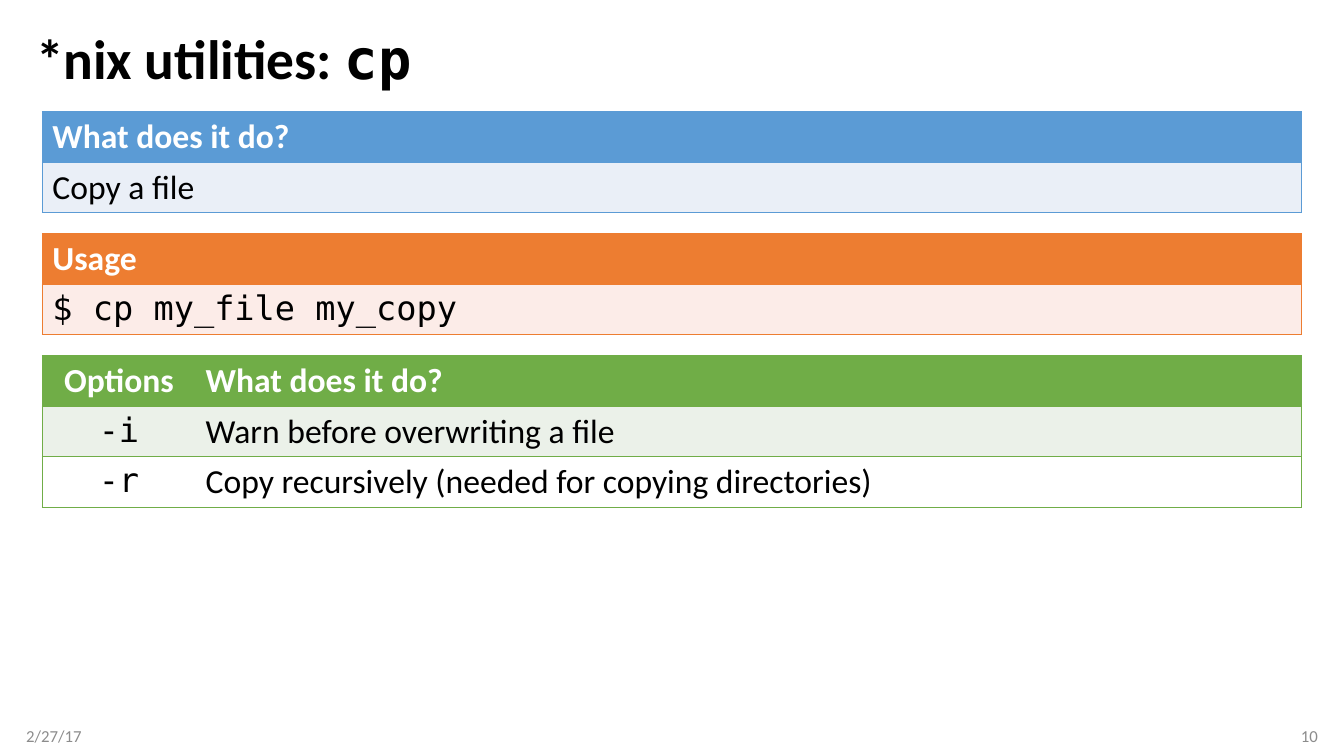
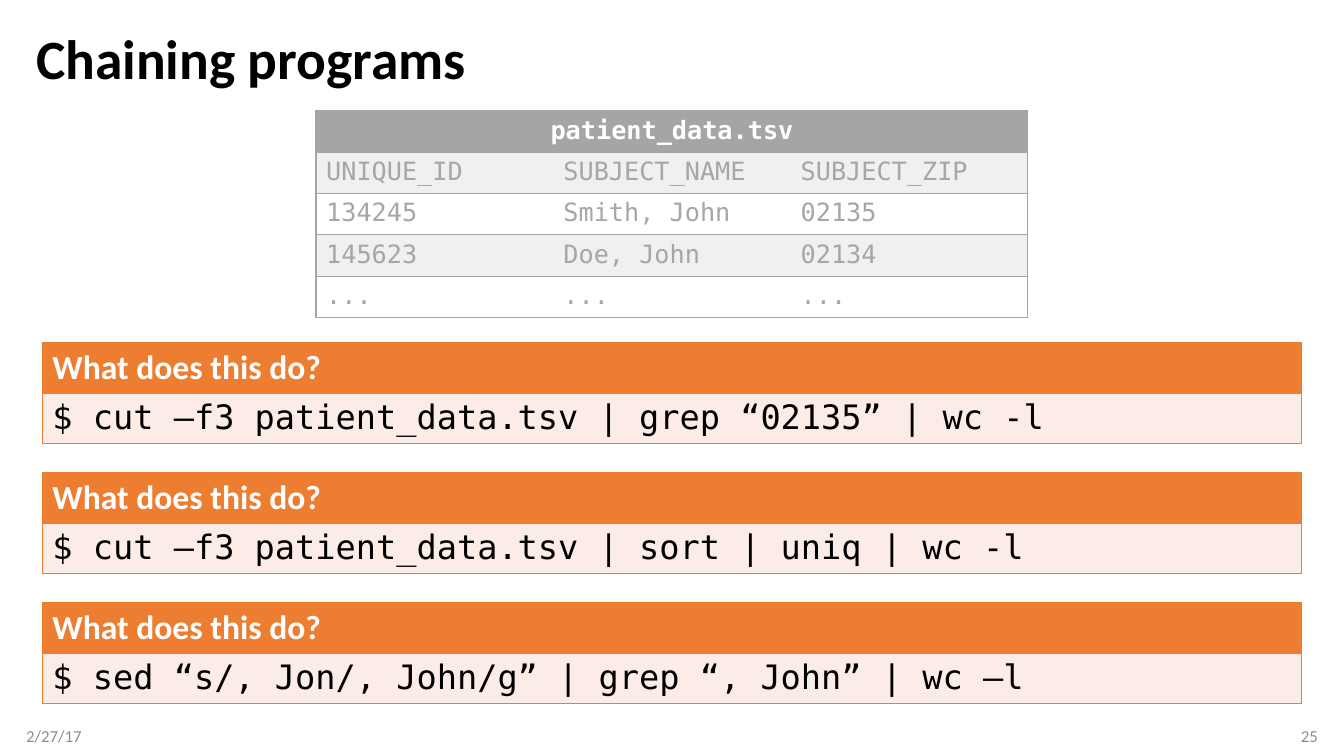
from dataclasses import dataclass

from lxml import etree
from pptx import Presentation
from pptx import util as u
from pptx.dml.color import RGBColor
from pptx.enum import text
from pptx.oxml.ns import qn


@dataclass(frozen=True)
class Theme:
    body_font: str = "Calibri"
    code_font: str = "DejaVu Sans Mono"
    title_size: float = 39.6
    panel_size: float = 24
    data_size: float = 18
    footer_size: float = 12
    ink: str = "000000"
    paper: str = "FFFFFF"
    footer_ink: str = "8C8C8C"
    data_ink: str = "A6A6A6"
    blue: tuple = ("5B9BD5", "EAEFF7")
    orange: tuple = ("ED7D31", "FCECE8")
    green: tuple = ("70AD47", "EBF1E9")
    grey: tuple = ("A5A5A5", "F0F0F0")


@dataclass(frozen=True)
class Box:
    left: float
    top: float
    width: float
    height: float

    def emu(self):
        return [u.Inches(v) for v in (self.left, self.top, self.width, self.height)]


THEME = Theme()
SLIDE = Box(0, 0, 13.33, 7.5)
MARGIN = 0.26
ROW = 0.41
PANEL_LEFT, PANEL_WIDTH = 0.42, 12.49
TITLE = Box(MARGIN, 0.25, SLIDE.width - 2 * MARGIN, 0.72)
FOOTER = Box(MARGIN, 7.1, SLIDE.width - 2 * MARGIN, 0.4)
DATE = "2/27/17"
LEFT, CENTER, RIGHT = text.PP_ALIGN.LEFT, text.PP_ALIGN.CENTER, text.PP_ALIGN.RIGHT


def style(run, font, size, color, bold=False):
    run.font.name = font
    run.font.size = u.Pt(size)
    run.font.bold = bold
    run.font.color.rgb = RGBColor.from_string(color)


def text_frame(slide, box):
    frame = slide.shapes.add_textbox(*box.emu()).text_frame
    frame.word_wrap = True
    frame.vertical_anchor = text.MSO_ANCHOR.MIDDLE
    return frame


def add_title(slide, box, words, command=""):
    heading = text_frame(slide, box).paragraphs[0]
    heading.text = words
    heading.line_spacing = 0.9
    style(heading.runs[0], THEME.body_font, THEME.title_size, THEME.ink, True)
    if command:
        name = heading.add_run()
        name.text = command
        style(name, THEME.code_font, THEME.title_size, THEME.ink, True)


def add_footer(slide, box, number):
    width = 3
    for words, left, align in ((DATE, box.left, LEFT),
                               (number, box.left + box.width - width, RIGHT)):
        frame = text_frame(slide, Box(left, box.top, width, box.height))
        frame.margin_left = 0 if align == LEFT else u.Inches(0.1)
        frame.margin_right = 0 if align == RIGHT else u.Inches(0.1)
        note = frame.paragraphs[0]
        note.text = words
        note.alignment = align
        style(note.runs[0], THEME.body_font, THEME.footer_size, THEME.footer_ink)


def set_borders(cell, color, sides):
    properties = cell._tc.get_or_add_tcPr()
    for index, side in enumerate("LRTB"):
        line = etree.Element(qn(f"a:ln{side}"), w=str(u.Pt(1)))
        if side in sides:
            fill = etree.SubElement(line, qn("a:solidFill"))
            etree.SubElement(fill, qn("a:srgbClr"), val=color)
        else:
            etree.SubElement(line, qn("a:noFill"))
        properties.insert(index, line)


def add_grid(slide, box, rows, widths, colors, fonts, *, aligns=(LEFT,),
             head_font=THEME.body_font, size=THEME.panel_size, ink=THEME.ink):
    strong, pale = colors
    table = slide.shapes.add_table(len(rows), len(widths), *box.emu()).table
    table.horz_banding = False
    for column, width in zip(table.columns, widths):
        column.width = u.Inches(width)
    spanned = len(rows[0]) < len(widths)
    if spanned:
        table.cell(0, 0).merge(table.cell(0, len(widths) - 1))
    for r, values in enumerate(rows):
        table.rows[r].height = u.Inches(box.height / len(rows))
        for c in range(len(widths)):
            cell = table.cell(r, c)
            cell.fill.solid()
            fill = strong if r == 0 else pale if r % 2 else THEME.paper
            cell.fill.fore_color.rgb = RGBColor.from_string(fill)
            last = c == len(values) - 1 or c == len(widths) - 1
            set_borders(cell, strong, "TB" + "L" * (c == 0) + "R" * last)
            if c >= len(values):
                continue
            entry = cell.text_frame.paragraphs[0]
            entry.text = values[c]
            entry.alignment = CENTER if r == 0 and spanned else aligns[c]
            style(entry.runs[0], head_font if r == 0 else fonts[c], size,
                  THEME.paper if r == 0 else ink, r == 0)


def add_panel(slide, top, heading, content, colors, font):
    box = Box(PANEL_LEFT, top, PANEL_WIDTH, 2 * ROW)
    add_grid(slide, box, [[heading], [content]], [box.width], colors, [font])


def add_options(slide, box, options):
    first = 1.52
    add_grid(slide, box, [("Options", "What does it do?"), *options],
             [first, box.width - first], THEME.green,
             [THEME.code_font, THEME.body_font], aligns=(CENTER, LEFT))


def add_data_file(slide, box, name, records):
    count = len(records[0])
    add_grid(slide, box, [(name,), *records], [box.width / count] * count,
             THEME.grey, [THEME.code_font] * count, aligns=[LEFT] * count,
             head_font=THEME.code_font, size=THEME.data_size, ink=THEME.data_ink)


def start_slide(deck, number, words, command=""):
    slide = deck.slides.add_slide(deck.slide_layouts[6])
    add_title(slide, TITLE, words, command)
    add_footer(slide, FOOTER, number)
    return slide


def utility_slide(deck, number, command, purpose, usage, options):
    slide = start_slide(deck, number, "*nix utilities: ", command)
    top, pitch = 1.11, 1.21
    add_panel(slide, top, "What does it do?", purpose, THEME.blue, THEME.body_font)
    add_panel(slide, top + pitch, "Usage", usage, THEME.orange, THEME.code_font)
    box = Box(PANEL_LEFT, top + 2 * pitch, PANEL_WIDTH, (len(options) + 1) * ROW)
    add_options(slide, box, options)


def chaining_slide(deck, number, file_name, records, pipelines):
    slide = start_slide(deck, number, "Chaining programs")
    width = 7.06
    box = Box((SLIDE.width - width) / 2, 1.1, width, (len(records) + 1) * ROW)
    add_data_file(slide, box, file_name, records)
    top, pitch = 3.4, 1.29
    for index, pipeline in enumerate(pipelines):
        add_panel(slide, top + index * pitch, "What does this do?", pipeline,
                  THEME.orange, THEME.code_font)


def main():
    deck = Presentation()
    deck.slide_width, deck.slide_height = u.Inches(SLIDE.width), u.Inches(SLIDE.height)
    utility_slide(deck, "10", "cp", "Copy a file", "$ cp my_file my_copy", [
        ("-i", "Warn before overwriting a file"),
        ("-r", "Copy recursively (needed for copying directories)"),
    ])
    chaining_slide(deck, "25", "patient_data.tsv", [
        ("UNIQUE_ID", "SUBJECT_NAME", "SUBJECT_ZIP"),
        ("134245", "Smith, John", "02135"),
        ("145623", "Doe, John", "02134"),
        ("...", "...", "..."),
    ], [
        "$ cut –f3 patient_data.tsv | grep “02135” | wc -l",
        "$ cut –f3 patient_data.tsv | sort | uniq | wc -l",
        "$ sed “s/, Jon/, John/g” | grep “, John” | wc –l",
    ])
    deck.save("out.pptx")


if __name__ == "__main__":
    main()
